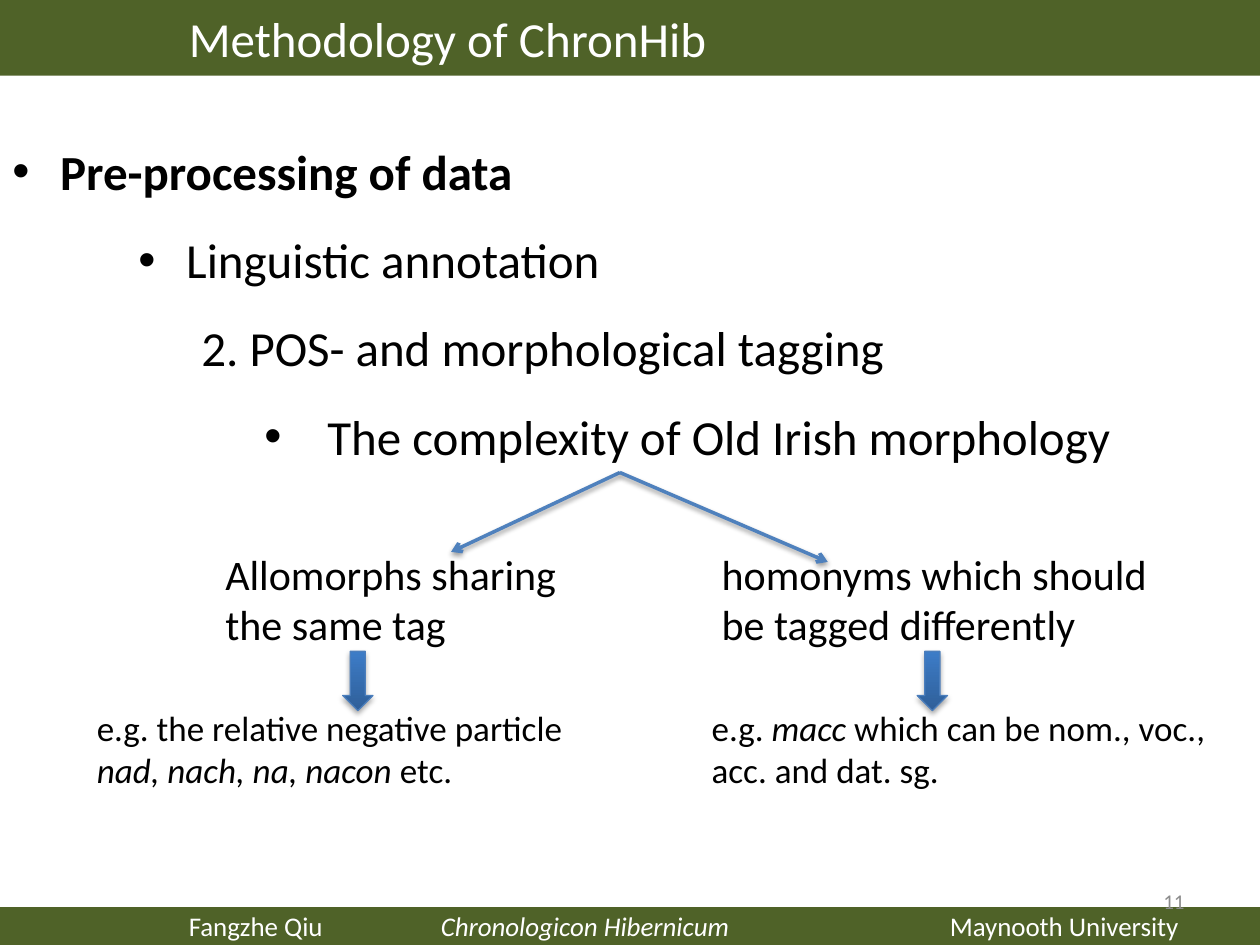
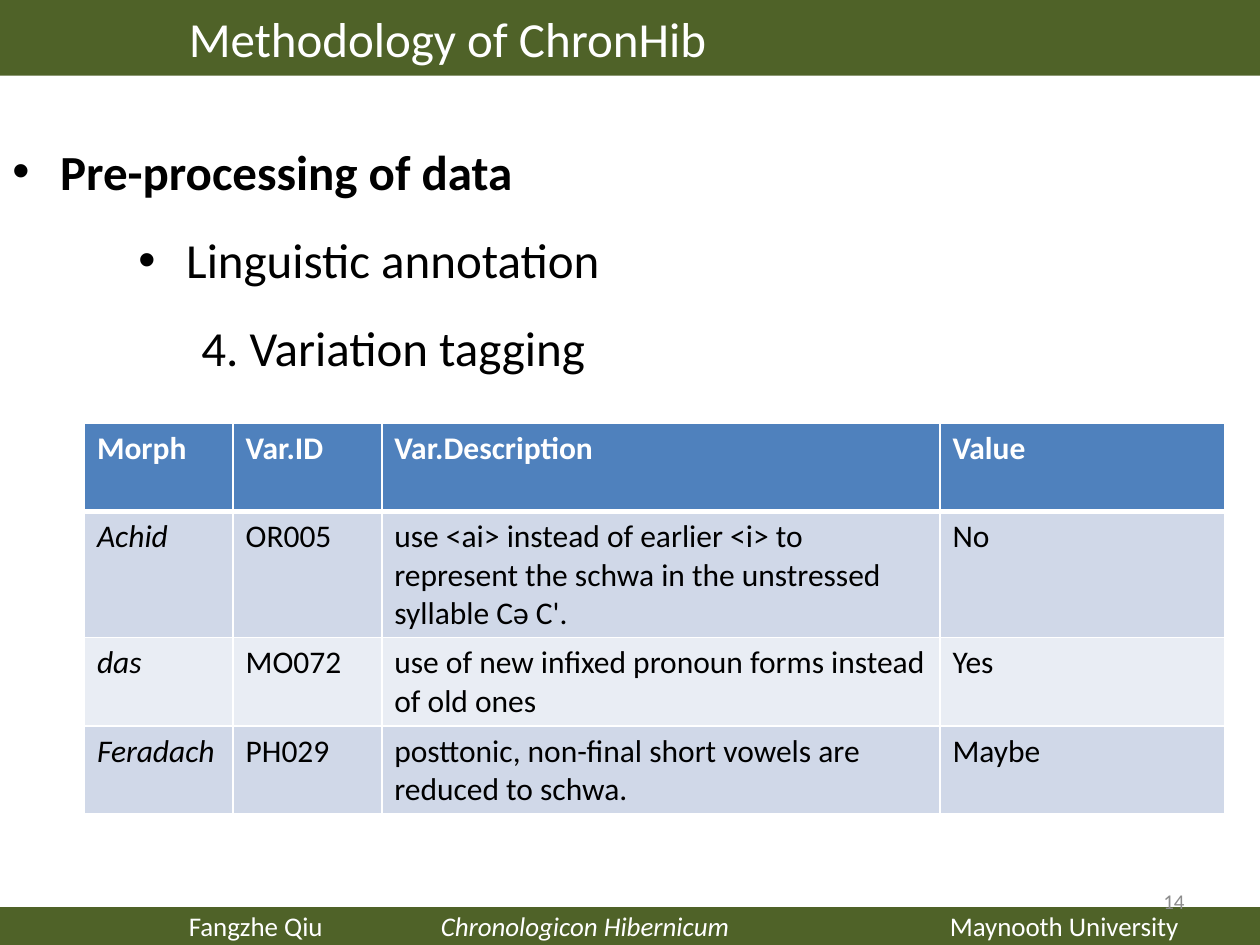
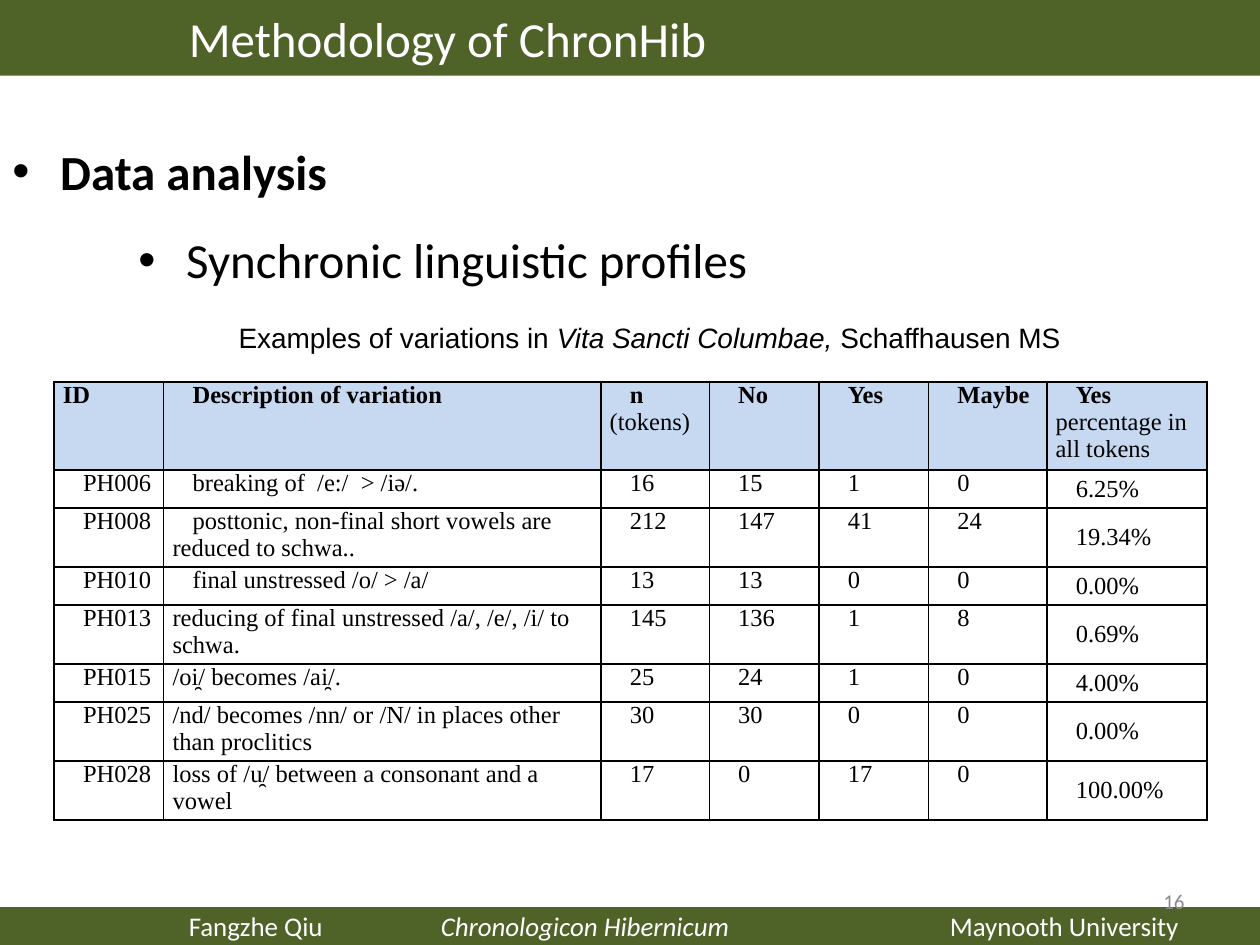
from lxml import etree
from pptx import Presentation
from pptx.dml.color import RGBColor
from pptx.enum.shapes import MSO_CONNECTOR, MSO_SHAPE
from pptx.enum.text import MSO_ANCHOR, PP_ALIGN
from pptx.oxml.ns import qn
from pptx.util import Inches, Pt

COLORS = {
    "band": "4F6228", "white": "FFFFFF", "black": "000000", "number": "8C8C8C",
    "arrow": "4F81BD", "block line": "4B7EBC", "block dark": "2F5F99",
    "block light": "3D7CC7", "header": "4F81BD", "odd row": "D0D8E8",
    "even row": "E9EDF4", "profile header": "C6D9F1",
}

# Content: a run is a string, or a (string, style) pair with style "b" or "i"
TITLE = "\tMethodology of ChronHib"
FOOTER = ["\tFangzhe Qiu\t", ("Chronologicon Hibernicum", "i"), "\tMaynooth University"]
# Outline levels: left margin, first-line indent, bullet
LEVELS = [(0.38, -0.38, True), (1.38, -0.38, True), (1.5, 0, False), (2.5, -0.5, True)]

TAGGING = ["Pre-processing of data", "Linguistic annotation",
           "2. POS- and morphological tagging", "The complexity of Old Irish morphology"]
VARIATION = ["Pre-processing of data", "Linguistic annotation", "4. Variation tagging"]
PROFILES = ["Data analysis", "Synchronic linguistic profiles"]

# Text boxes: position, size, paragraphs
BRANCH_HEADS = [
    ((1.69, 4.3, 3.23, 0.91), [["Allomorphs sharing the same tag"]]),
    ((5.63, 4.3, 3.7, 0.91), [["homonyms which should be tagged differently"]]),
]
BRANCH_EXAMPLES = [
    ((0.67, 5.56, 4.17, 0.77), [["e.g. the relative negative particle"],
                                [("nad, nach, na, nacon ", "i"), "etc."]]),
    ((5.55, 5.56, 4.17, 0.77),
     [["e.g. ", ("macc ", "i"), "which can be nom., voc., acc. and dat. sg."]]),
]
BRANCH_START = (4.92, 3.75)
BRANCH_ENDS = [(3.58, 4.38), (6.57, 4.46)]
DOWN_ARROW_LEFTS = [2.72, 7.28]

VARIATION_ROWS = [
    ["Morph", "Var.ID", "Var.Description", "Value"],
    ["Achid", "OR005", "use <ai> instead of earlier <i> to represent the schwa "
     "in the unstressed syllable Cə C'.", "No"],
    ["das", "MO072", "use of new infixed pronoun forms instead of old ones", "Yes"],
    ["Feradach", "PH029", "posttonic, non-final short vowels are reduced to schwa.", "Maybe"],
]
VARIATION_COLS = [1.18, 1.18, 4.43, 2.26]
VARIATION_HEIGHTS = [0.7, 1.0, 0.7, 0.7]

CAPTION = ["Examples of variations in ", ("Vita Sancti Columbae, ", "i"), "Schaffhausen MS"]
PROFILE_HEADER = [
    [("ID", "b")], [("Description of variation", "b")], [("n", "b"), " (tokens)"],
    [("No", "b")], [("Yes", "b")], [("Maybe", "b")],
    [("Yes ", "b"), "percentage in all tokens"],
]
PROFILE_ROWS = [
    ["PH006", "breaking of  /e:/  > /iə/.", "16", "15", "1", "0", "6.25%"],
    ["PH008", "posttonic, non-final short vowels are reduced to schwa..",
     "212", "147", "41", "24", "19.34%"],
    ["PH010", "final unstressed /o/ > /a/", "13", "13", "0", "0", "0.00%"],
    ["PH013", "reducing of final unstressed /a/, /e/, /i/ to schwa.",
     "145", "136", "1", "8", "0.69%"],
    ["PH015", "/oi̯/ becomes /ai̯/.", "25", "24", "1", "0", "4.00%"],
    ["PH025", "/nd/ becomes /nn/ or /N/ in places other than proclitics",
     "30", "30", "0", "0", "0.00%"],
    ["PH028", "loss of /u̯/ between a consonant and a vowel", "17", "0", "17", "0", "100.00%"],
]
PROFILE_COLS = [0.87, 3.47, 0.86, 0.87, 0.87, 0.94, 1.27]
PROFILE_HEIGHTS = [0.7, 0.3, 0.47, 0.3, 0.47, 0.3, 0.47, 0.47]
FLUSH_DESCRIPTIONS = ("PH013", "PH015", "PH025", "PH028")


def rgb(name):
    return RGBColor.from_string(COLORS[name])


def sub(parent, tag, **attrs):
    return etree.SubElement(parent, qn(tag), {k: str(v) for k, v in attrs.items()})


# Text
def write(p, runs, size, color="black", font="Calibri", bold=None):
    for run in runs:
        text, style = (run, "") if isinstance(run, str) else run
        r = p.add_run()
        r.text = text
        if style == "b":
            r.font.bold = True
        elif style == "i":
            r.font.italic = True
    f = p.font
    f.name, f.size, f.bold = font, Pt(size), bold
    f.color.rgb = rgb(color)


def indent(p, left, first):
    pPr = p._p.get_or_add_pPr()
    pPr.set("marL", str(Inches(left)))
    pPr.set("indent", str(Inches(first)))
    return pPr


def add_text(s, box, paragraphs, size, color="black", font="Calibri",
             align=None, anchor=MSO_ANCHOR.TOP):
    tf = s.shapes.add_textbox(*map(Inches, box)).text_frame
    tf.word_wrap, tf.vertical_anchor = True, anchor
    for i, runs in enumerate(paragraphs):
        p = tf.add_paragraph() if i else tf.paragraphs[0]
        p.alignment = align
        write(p, runs, size, color, font)
    return tf


def add_outline(s, lines):
    tf = s.shapes.add_textbox(0, Inches(0.84), Inches(10.16), Inches(0.1 + 0.7 * len(lines))).text_frame
    tf.word_wrap = True
    for i, (text, (left, first, bullet)) in enumerate(zip(lines, LEVELS)):
        p = tf.add_paragraph() if i else tf.paragraphs[0]
        pPr = indent(p, left, first)
        if bullet:
            sub(pPr, "a:buFont", typeface="Arial")
            sub(pPr, "a:buChar", char="•")
        p.line_spacing = 1.5
        write(p, [text], 28, bold=i == 0)


# Shared frame
def add_band(s, top, height, runs, size, tabs):
    sp = s.shapes.add_shape(MSO_SHAPE.RECTANGLE, 0, Inches(top), Inches(10), Inches(height))
    sp.shadow.inherit = False
    sp.fill.solid()
    sp.fill.fore_color.rgb = rgb("band")
    sp.line.fill.background()
    tf = sp.text_frame
    tf.word_wrap, tf.vertical_anchor = True, MSO_ANCHOR.MIDDLE
    p = tf.paragraphs[0]
    p.alignment = PP_ALIGN.LEFT
    tab_list = sub(p._p.get_or_add_pPr(), "a:tabLst")
    for tab in tabs:
        sub(tab_list, "a:tab", pos=Inches(tab), algn="l")
    write(p, runs, size, "white")


def add_slide(prs, number, outline):
    s = prs.slides.add_slide(prs.slide_layouts[6])
    add_band(s, 0, 0.6, [TITLE], 28, [1.4])
    add_outline(s, outline)
    add_band(s, 7.2, 0.3, FOOTER, 15.4, [1.4, 3.4, 7.44])
    add_text(s, (7.17, 6.95, 2.33, 0.4), [[str(number)]], 12, "number",
             align=PP_ALIGN.RIGHT, anchor=MSO_ANCHOR.MIDDLE)
    return s


# Arrows
def add_shadow(sp, alpha, distance):
    effects = sub(sp._element.spPr, "a:effectLst")
    shadow = sub(effects, "a:outerShdw", blurRad=Pt(3.1), dist=Pt(distance),
                 dir=90 * 60000, rotWithShape=0)
    sub(sub(shadow, "a:srgbClr", val=COLORS["black"]), "a:alpha", val=alpha * 1000)


def add_branch(s, start, end):
    line = s.shapes.add_connector(MSO_CONNECTOR.STRAIGHT, *map(Inches, start + end))
    line.line.color.rgb = rgb("arrow")
    line.line.width = Pt(2)
    sub(line.line._get_or_add_ln(), "a:tailEnd", type="arrow")
    add_shadow(line, 38, 1.6)


def add_down_arrow(s, left):
    sp = s.shapes.add_shape(MSO_SHAPE.DOWN_ARROW, *map(Inches, (left, 5.17, 0.24, 0.47)))
    sp.fill.gradient()
    sp.fill.gradient_angle = 90
    for stop, name in zip(sp.fill.gradient_stops, ("block dark", "block light")):
        stop.color.rgb = rgb(name)
    sp.line.color.rgb = rgb("block line")
    sp.line.width = Pt(0.75)
    add_shadow(sp, 35, 1.8)


# Tables
def add_table(s, left, top, cols, heights):
    table = s.shapes.add_table(len(heights), len(cols), Inches(left), Inches(top),
                               Inches(sum(cols)), Inches(sum(heights))).table
    table.first_row = table.horz_banding = False
    for column, width in zip(table.columns, cols):
        column.width = Inches(width)
    for row, height in zip(table.rows, heights):
        row.height = Inches(height)
    return table


def style_cell(cell, border, fill=None, top=1, bottom=1):
    tcPr = cell._tc.get_or_add_tcPr()
    for side, width in (("L", 1), ("R", 1), ("T", top), ("B", bottom)):
        ln = sub(tcPr, "a:ln" + side, w=Pt(width))
        sub(sub(ln, "a:solidFill"), "a:srgbClr", val=COLORS[border])
    if fill:
        cell.fill.solid()
        cell.fill.fore_color.rgb = rgb(fill)
    else:
        cell.fill.background()


def add_variation_table(s):
    table = add_table(s, 0.67, 3.36, VARIATION_COLS, VARIATION_HEIGHTS)
    for i, row in enumerate(VARIATION_ROWS):
        fill = "header" if i == 0 else "odd row" if i % 2 else "even row"
        for j, text in enumerate(row):
            cell = table.cell(i, j)
            style_cell(cell, "white", fill, top=3 if i == 1 else 1, bottom=3 if i == 0 else 1)
            run = (text, "i") if i and j == 0 else text
            write(cell.text_frame.paragraphs[0], [run], 18,
                  "black" if i else "white", bold=i == 0)


def add_profile_table(s):
    table = add_table(s, 0.43, 3.03, PROFILE_COLS, PROFILE_HEIGHTS)
    rows = [PROFILE_HEADER] + [[[text] for text in row] for row in PROFILE_ROWS]
    for i, row in enumerate(rows):
        for j, runs in enumerate(row):
            cell = table.cell(i, j)
            style_cell(cell, "black", None if i else "profile header")
            cell.margin_left = cell.margin_right = Inches(0.07)
            cell.margin_top = cell.margin_bottom = 0
            if i and j == len(row) - 1:
                cell.vertical_anchor = MSO_ANCHOR.MIDDLE
            p = cell.text_frame.paragraphs[0]
            flush = i == j == 0 or (j == 1 and row[0][0] in FLUSH_DESCRIPTIONS)
            indent(p, 0, 0 if flush else 0.16)
            write(p, runs, 14, font="Times New Roman")


def main():
    prs = Presentation()
    prs.slide_width, prs.slide_height = Inches(10), Inches(7.5)

    # Morphological tagging
    s = add_slide(prs, 11, TAGGING)
    for boxes, size in ((BRANCH_HEADS, 24), (BRANCH_EXAMPLES, 20)):
        for box, paragraphs in boxes:
            add_text(s, box, paragraphs, size)
    for end in BRANCH_ENDS:
        add_branch(s, BRANCH_START, end)
    for left in DOWN_ARROW_LEFTS:
        add_down_arrow(s, left)

    # Variation tagging
    add_variation_table(add_slide(prs, 14, VARIATION))

    # Linguistic profiles
    s = add_slide(prs, 16, PROFILES)
    tf = add_text(s, (1.06, 2.49, 8.03, 0.37), [CAPTION], 16, font="Arial",
                  align=PP_ALIGN.CENTER, anchor=MSO_ANCHOR.MIDDLE)
    indent(tf.paragraphs[0], 0, 0.16)
    add_profile_table(s)

    prs.save("out.pptx")


if __name__ == "__main__":
    main()
